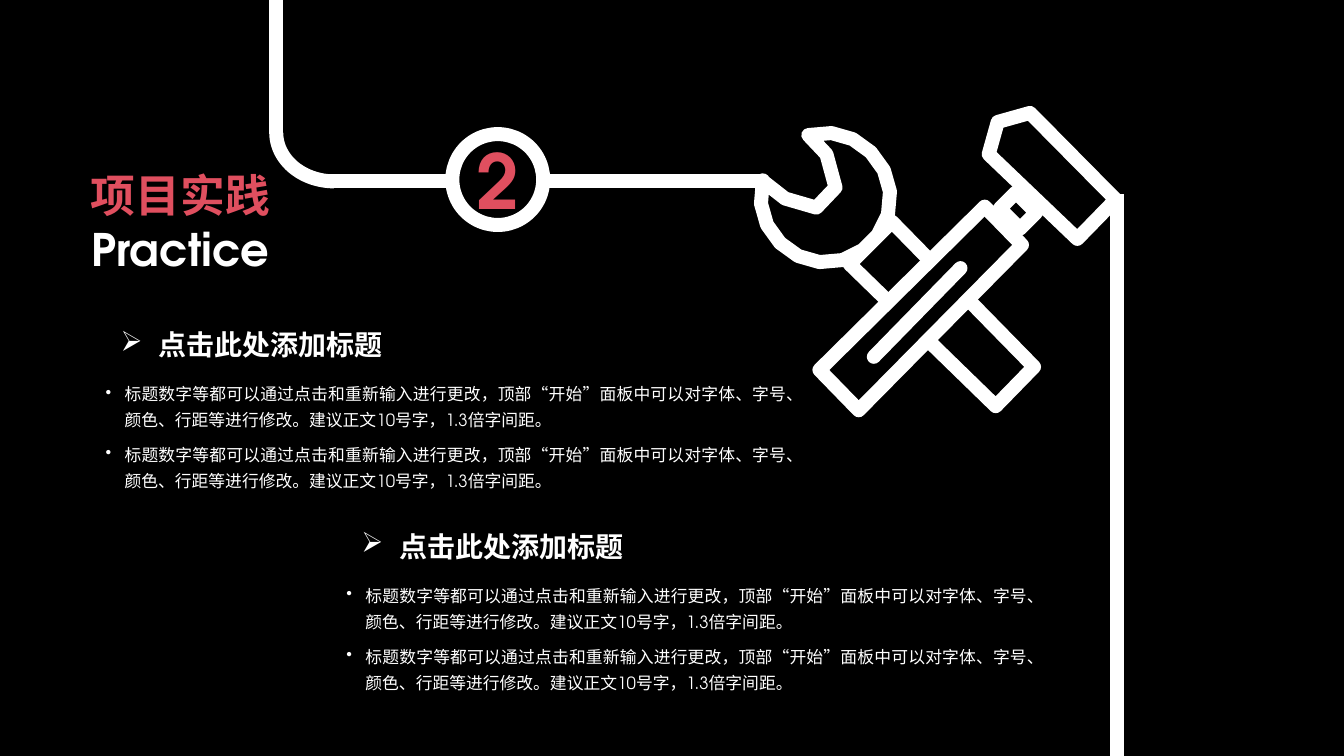
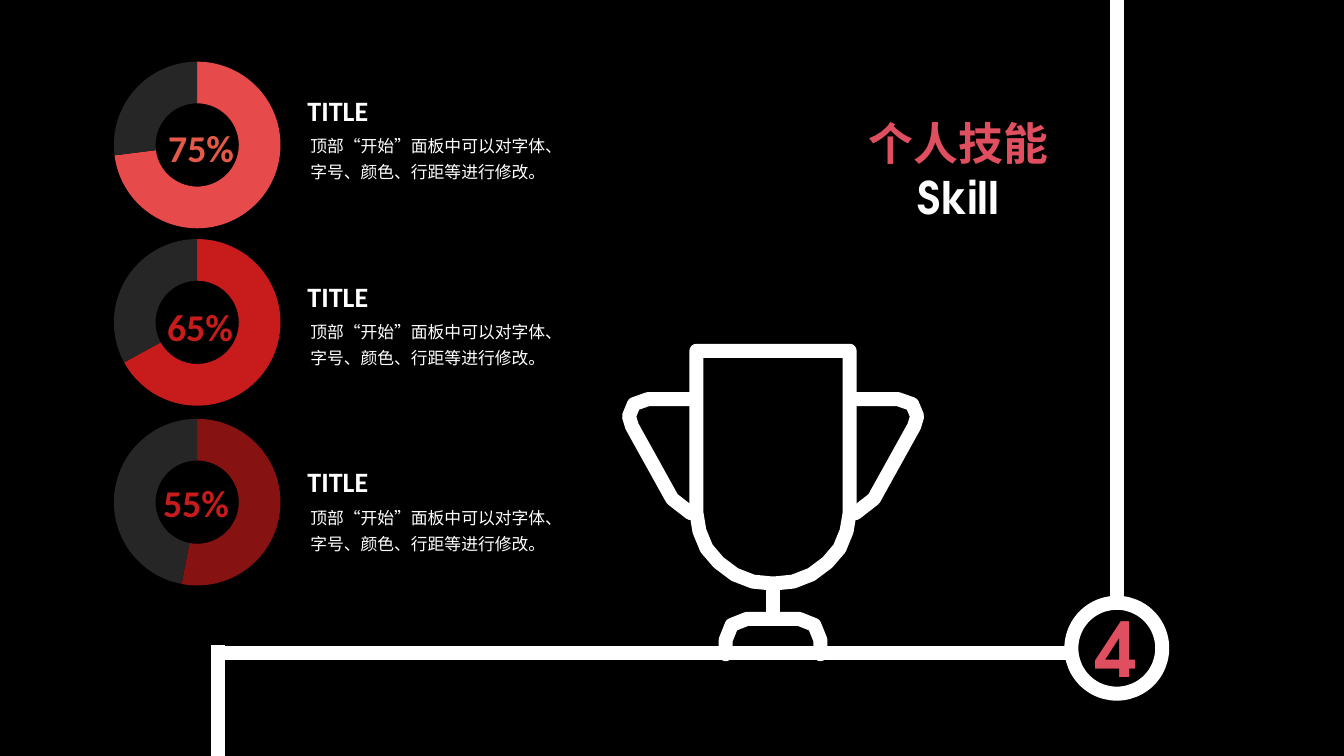
from math import cos, radians, sin

from pptx import Presentation
from pptx.chart.data import CategoryChartData
from pptx.dml.color import RGBColor
from pptx.enum import chart as charts, shapes, text
from pptx.oxml import parse_xml
from pptx.oxml.ns import nsdecls, qn
from pptx.util import Cm, Pt

BLACK = RGBColor(0x00, 0x00, 0x00)
WHITE = RGBColor(0xFF, 0xFF, 0xFF)
CORAL = RGBColor(0xE0, 0x4F, 0x5F)
ORANGE = RGBColor(0xE5, 0x59, 0x48)
BRIGHT_RED = RGBColor(0xE6, 0x4A, 0x4A)
RED = RGBColor(0xC8, 0x1C, 0x1C)
DARK_RED = RGBColor(0x86, 0x12, 0x12)
GREY = RGBColor(0x26, 0x26, 0x26)

ROUND_FONT = "TeX Gyre Adventor"
CHINESE_FONT = "Noto Sans CJK SC"
LABEL_FONT = "Calibri"

STROKE = Pt(10)
SLIDE_HEIGHT = 19.05
RAIL_X = 28.14
CIRCLE_SIZE = 2.29
ICON_UNIT = Cm(0.0254)


def arc_points(centre, radii, start, stop, step):
    """List points on an ellipse, with angles in degrees, clockwise from the right."""
    return [(centre[0] + radii[0] * cos(radians(angle)),
             centre[1] + radii[1] * sin(radians(angle)))
            for angle in range(start, stop + 1, step)]


# Icon strokes in icon units, from back to front: (points, closed)
wrench_jaw = [(756, 179), (779, 197), (810, 206), (829, 186), (820, 153)]
TOOLS = [
    ([(885, 220), (1026, 364), (988, 403), (843, 262)], True),
    (wrench_jaw + arc_points((819, 196), (64, 64), -105, 195, 20), True),
    ([(992, 207), (1008, 191), (1028, 211), (1012, 227)], True),
    ([(977, 205), (1014, 243), (852, 407), (813, 367)], True),
    ([(867, 354), (953, 266)], False),
    ([(1022, 112), (1107, 198), (1069, 237), (981, 153), (990, 121)], True),
]

TROPHY_AXIS = 767
left_handle = [(684, 396), (643, 396), (629, 401), (624, 413), (627, 423),
               (667, 495), (685, 509)]
left_base = [(720, 649), (720, 635), (726, 620), (741, 614)]
right_handle, right_base = [[(2 * TROPHY_AXIS - x, y) for x, y in half]
                            for half in (left_handle, left_base)]
TROPHY = [
    (left_handle, False),
    (right_handle, False),
    ([(691, 348), (843, 348)]
     + arc_points((TROPHY_AXIS, 509), (76, 70), 0, 180, 15), True),
    ([(TROPHY_AXIS, 579), (TROPHY_AXIS, 614)], False),
    (left_base + right_base[::-1], False),
]

SECTIONS = [
    {
        "number": "2", "circle": (11.40, 3.38),
        "title": ("项目实践", "Practice"), "title_at": (0, 4.11),
        "lines": [(6.96, 0, 6.96, 3.38), (8.28, 4.57, 11.40, 4.57),
                  (13.69, 4.57, 19.30, 4.57),
                  (RAIL_X, 4.90, RAIL_X, SLIDE_HEIGHT)],
        "icon": TOOLS,
    },
    {
        "number": "4", "circle": (27.00, 15.19),
        "title": ("个人技能", "Skill"), "title_at": (19.61, 2.79),
        "lines": [(RAIL_X, 0, RAIL_X, 15.19), (5.49, 16.46, 27.00, 16.46),
                  (5.49, 16.26, 5.49, SLIDE_HEIGHT)],
        "icon": TROPHY,
    },
]


def add_text(page, at, lines, size, font, bold=False, align=None, spacing=None,
             before=0, bullet=None, indent=0):
    """Add a text box at (left, top, width, height) cm; lines are (text, colour)."""
    box = page.shapes.add_textbox(*[Cm(length) for length in at])
    frame = box.text_frame
    frame.word_wrap = True
    for index, (words, colour) in enumerate(lines):
        para = frame.paragraphs[0] if index == 0 else frame.add_paragraph()
        if bullet:
            props = para._p.get_or_add_pPr()
            props.set("marL", str(Cm(indent)))
            props.set("indent", str(-Cm(indent)))
            props.append(parse_xml(f'<a:buChar {nsdecls("a")} char="{bullet}"/>'))
        para.alignment = align
        para.line_spacing = spacing
        if index:
            para.space_before = Pt(before)
        span = para.add_run()
        span.text = words
        span.font.size = Pt(size)
        span.font.bold = bold
        span.font.color.rgb = colour
        span.font.name = font
        span.font._element.append(
            parse_xml(f'<a:ea {nsdecls("a")} typeface="{CHINESE_FONT}"/>'))
    return frame


deck = Presentation()
deck.slide_width = Cm(33.87)
deck.slide_height = Cm(SLIDE_HEIGHT)

# What both slides share: background, icon, route lines, numbered circle, title
pages = []
for section in SECTIONS:
    page = deck.slides.add_slide(deck.slide_layouts[6])
    pages.append(page)
    page.background.fill.solid()
    page.background.fill.fore_color.rgb = BLACK

    for points, closed in section["icon"]:
        builder = page.shapes.build_freeform(*points[0], scale=ICON_UNIT)
        builder.add_line_segments(points[1:], close=closed)
        part = builder.convert_to_shape()
        part.shadow.inherit = False
        part.fill.solid()
        part.fill.fore_color.rgb = BLACK
        part.line.color.rgb = WHITE
        part.line.width = STROKE
        outline = part._element.spPr.find(qn("a:ln"))
        outline.set("cap", "rnd")
        outline.append(parse_xml(f'<a:round {nsdecls("a")}/>'))

    for ends in section["lines"]:
        line = page.shapes.add_connector(
            shapes.MSO_CONNECTOR.STRAIGHT, *[Cm(length) for length in ends])
        line.line.color.rgb = WHITE
        line.line.width = STROKE
        line._element.spPr.append(parse_xml(f'<a:effectLst {nsdecls("a")}/>'))

    left, top = section["circle"]
    circle = page.shapes.add_shape(
        shapes.MSO_SHAPE.OVAL, Cm(left), Cm(top), Cm(CIRCLE_SIZE), Cm(CIRCLE_SIZE))
    circle.shadow.inherit = False
    circle.fill.background()
    circle.line.color.rgb = WHITE
    circle.line.width = STROKE
    add_text(page, (left + 0.36, top - 0.14, 1.55, 2.57),
             [(section["number"], CORAL)], 54, ROUND_FONT, bold=True)

    chinese, english = section["title"]
    add_text(page, (*section["title_at"], 9.1, 3),
             [(chinese, CORAL), (english, WHITE)], 32, ROUND_FONT, bold=True,
             align=text.PP_ALIGN.CENTER)

practice, skill = pages

# Practice: the bend in the route and two text blocks
bend = practice.shapes.add_shape(
    shapes.MSO_SHAPE.ARC, Cm(6.96), Cm(2.11), Cm(2.92), Cm(2.46))
bend.rotation = 180
bend.shadow.inherit = False
bend.fill.background()
bend.line.color.rgb = WHITE
bend.line.width = STROKE

ADVICE = ("标题数字等都可以通过点击和重新输入进行更改，顶部“开始”面板中可以对字体、字号、"
          "颜色、行距等进行修改。建议正文10号字，1.3倍字间距。")
for left, top in [(2.79, 8.13), (8.86, 13.21)]:
    add_text(practice, (left, top, 16.21, 1.12), [("点击此处添加标题", WHITE)],
             20, CHINESE_FONT, bold=True, bullet="➢", indent=0.95)
    add_text(practice, (left - 0.38, top + 1.27, 17.68, 3.07), [(ADVICE, WHITE)] * 2,
             12, ROUND_FONT, align=text.PP_ALIGN.JUSTIFY, spacing=1.3, before=6,
             bullet="•", indent=0.48)

# Skill: share, ring colour, chart top, label text, colour and place, text tops
SKILLS = [
    (73, BRIGHT_RED, 1.19, "75%", ORANGE, (3.99, 3.02), 2.64, 3.15),
    (67, RED, 5.66, "65%", RED, (3.96, 7.54), 7.34, 7.82),
    (53, DARK_RED, 10.19, "55%", RED, (3.86, 11.96), 11.99, 12.52),
]
RING_LAYOUT = (
    f'<c:layout {nsdecls("c")}><c:manualLayout><c:layoutTarget val="inner"/>'
    '<c:xMode val="edge"/><c:yMode val="edge"/><c:x val="0.21"/><c:y val="0.07"/>'
    '<c:w val="0.58"/><c:h val="0.86"/></c:manualLayout></c:layout>')
NO_FILL = (f'<c:spPr {nsdecls("c", "a")}><a:noFill/>'
           '<a:ln><a:noFill/></a:ln></c:spPr>')

for share, ring, chart_top, label, colour, label_at, title_top, note_top in SKILLS:
    data = CategoryChartData()
    data.categories = ["1", "2"]
    data.add_series("Series 1", (share, 100 - share))
    chart = skill.shapes.add_chart(
        charts.XL_CHART_TYPE.DOUGHNUT, Cm(1.35), Cm(chart_top), Cm(7.24), Cm(4.93),
        data).chart
    chart.has_legend = False
    chart.has_title = False
    chart.font.size = Pt(10)
    chart.font.name = ROUND_FONT
    chart.font.color.rgb = BLACK
    plot = chart.plots[0]
    plot.vary_by_categories = True
    for index, tint in enumerate((ring, GREY)):
        point = plot.series[0].points[index].format
        point.fill.solid()
        point.fill.fore_color.rgb = tint
        point.line.fill.background()

    chart_root = chart.element
    chart_root.find(qn("c:chart")).addnext(parse_xml(NO_FILL))
    plot_area = chart_root.find(".//" + qn("c:plotArea"))
    for layout in plot_area.findall(qn("c:layout")):
        plot_area.remove(layout)
    plot_area.insert(0, parse_xml(RING_LAYOUT))
    plot_area.find(".//" + qn("c:holeSize")).set("val", "75")

    add_text(skill, (*label_at, 3.05, 1.42), [(label, colour)], 27, LABEL_FONT,
             bold=True)
    heading = add_text(skill, (7.57, title_top, 2.31, 0.66), [("TITLE", WHITE)], 20,
                       LABEL_FONT, bold=True, spacing=Pt(12.8))
    heading.margin_left = heading.margin_right = Cm(0.18)
    heading.margin_top = heading.margin_bottom = Cm(0.1)
    add_text(skill, (7.57, note_top, 7.01, 1.6),
             [("顶部“开始”面板中可以对字体、字号、颜色、行距等进行修改。", WHITE)],
             12, CHINESE_FONT, spacing=1.3)

deck.save("out.pptx")
